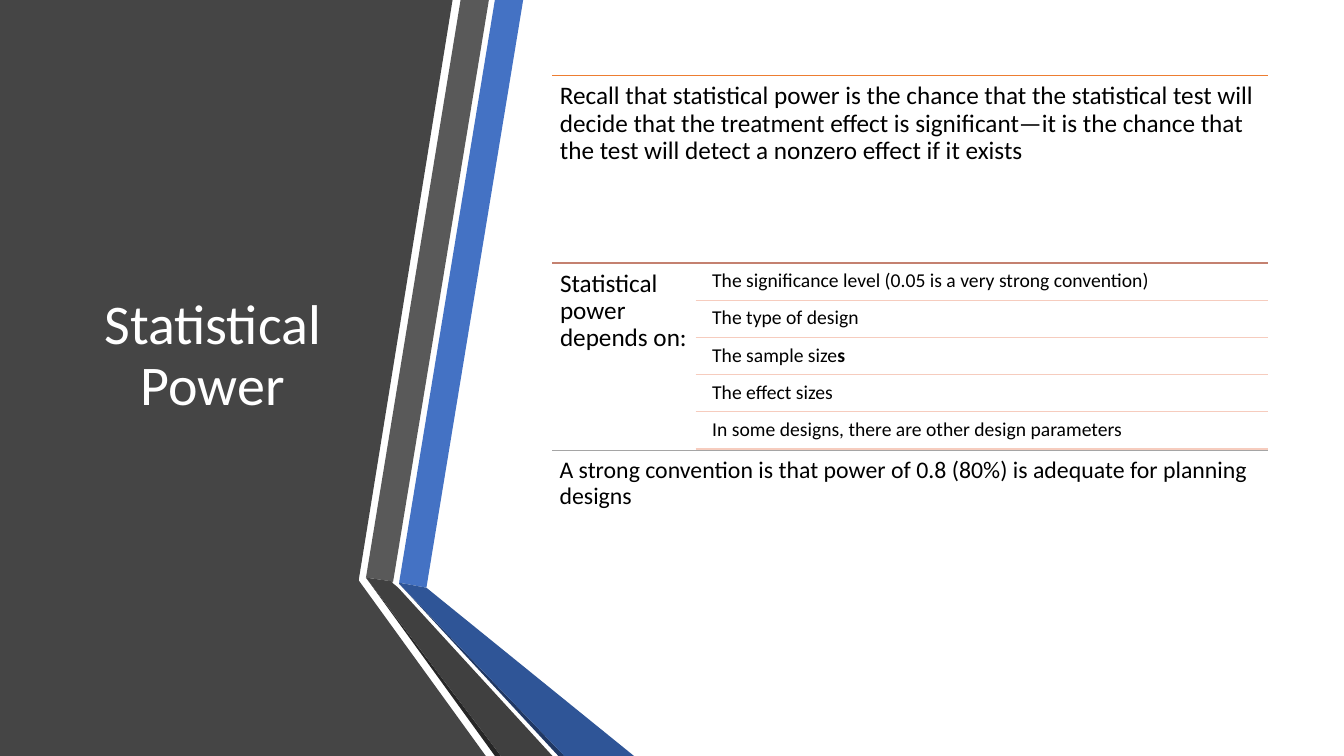
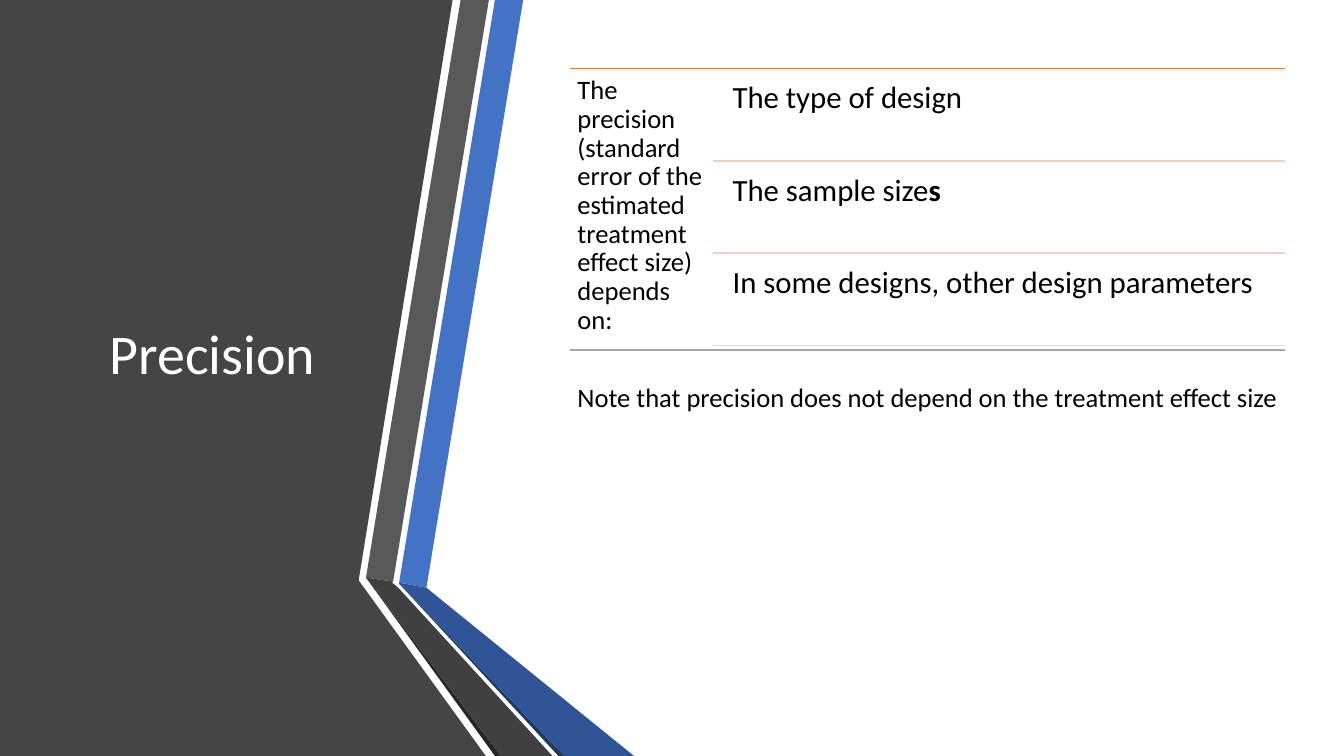
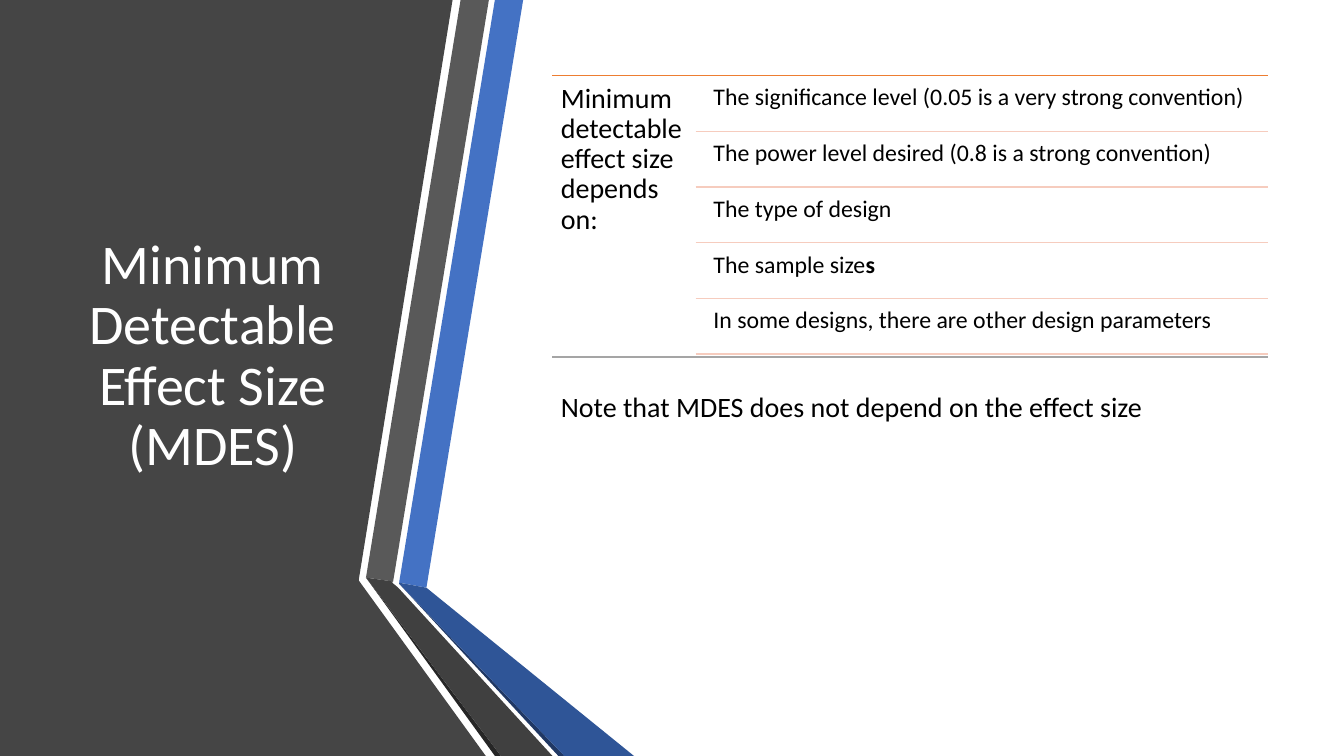
from dataclasses import dataclass

from lxml.etree import SubElement
from pptx import Presentation
from pptx.dml.color import RGBColor
from pptx.enum.shapes import MSO_CONNECTOR
from pptx.enum.text import MSO_ANCHOR, MSO_AUTO_SIZE, PP_ALIGN
from pptx.oxml.ns import qn
from pptx.util import Pt


@dataclass(frozen=True)
class Theme:
    font: str = "Calibri"
    title_size: float = 40
    line_spacing: float = 0.9
    inset_ratio: float = 0.3
    blank_line_ratio: float = 1.52
    rule_width: float = 1
    title_text: str = "FFFFFF"
    body_text: str = "000000"
    side_panel: str = "454545"
    blue_band: str = "4472C4"
    blue_fold: str = "2F5597"
    blue_edge: str = "203864"
    gray_band: str = "595959"
    gray_fold: str = "404040"
    gray_edge: str = "262626"
    first_rule: str = "ED7D31"
    middle_rule: str = "C48170"
    last_rule: str = "A5A5A5"
    item_rule: str = "F6CCBE"


@dataclass(frozen=True)
class Box:
    left: float
    top: float
    width: float
    height: float


@dataclass(frozen=True)
class Item:
    text: str
    bold_tail: str = ""


@dataclass(frozen=True)
class Section:
    text: str
    size: float
    rule: str
    items: tuple = ()
    item_size: float = 0
    text_width: float = 511.2
    skips_line: bool = False


THEME = Theme()
SLIDE_WIDTH, SLIDE_HEIGHT = 960, 540
TITLE_BOX = Box(42.5, 54, 218.9, 401.8)
LABEL_SHARE = 0.2
ITEM_INDENT = 7.7
ITEM_GAP = 0.05

BANDS = (
    (THEME.side_panel, ((0, 0), (323.3, 0), (256.3, 414), (256.3, 414.7),
                        (347, 540), (0, 540))),
    (THEME.blue_band, ((285.1, 416.2), (304.6, 419.8), (373.7, 0), (353.5, 0))),
    (THEME.gray_band, ((349.2, 0), (329, 0), (261.4, 412.6), (280.8, 415.4))),
    (THEME.gray_edge, ((261.4, 412.6), (353.5, 540), (357.8, 540))),
    (THEME.blue_edge, ((285.1, 416.9), (398.9, 540), (403.2, 540))),
    (THEME.blue_fold, ((285.1, 416.2), (285.1, 416.9), (403.2, 540),
                       (452.9, 540), (304.6, 419.8))),
    (THEME.gray_fold, ((394.6, 540), (284.4, 419.8), (280.1, 416.2),
                       (280.8, 415.4), (261.4, 412.6), (357.8, 540))),
)

SAMPLE_SIZES = Item("The sample size", "s")
DESIGN_TYPE = Item("The type of design")
SIGNIFICANCE = Item("The significance level (0.05 is a very strong convention)")
OTHER_PARAMETERS = Item("In some designs, there are other design parameters")

SLIDES = (
    ("Statistical Power", Box(394.6, 54, 511.2, 401.8), (
        Section("Recall that statistical power is the chance that the statistical "
                "test will decide that the treatment effect is significant—it is "
                "the chance that the test will detect a nonzero effect if it exists",
                18, THEME.first_rule, text_width=507),
        Section("Statistical power depends on:", 18, THEME.middle_rule,
                (SIGNIFICANCE, DESIGN_TYPE, SAMPLE_SIZES,
                 Item("The effect sizes"), OTHER_PARAMETERS), 14),
        Section("A strong convention is that power of 0.8 (80%) is adequate for "
                "planning designs", 17, THEME.last_rule),
    )),
    ("Precision", Box(406.8, 49, 511.2, 401.8), (
        Section("The precision (standard error of the estimated treatment effect "
                "size) depends on:", 19, THEME.first_rule,
                (DESIGN_TYPE, SAMPLE_SIZES,
                 Item("In some designs, other design parameters")), 22),
        Section("Note that precision does not depend on the treatment effect size",
                19, THEME.last_rule, skips_line=True),
    )),
    ("Minimum Detectable Effect Size (MDES)", Box(394.6, 54, 511.2, 401.8), (
        Section("Minimum detectable effect size depends on:", 20, THEME.first_rule,
                (SIGNIFICANCE,
                 Item("The power level desired (0.8 is a strong convention)"),
                 DESIGN_TYPE, SAMPLE_SIZES, OTHER_PARAMETERS), 17),
        Section("Note that MDES does not depend on the effect size", 20,
                THEME.last_rule, text_width=479, skips_line=True),
    )),
)


def color(value):
    return RGBColor.from_string(value)


def place(shape, box):
    shape.left, shape.top = Pt(box.left), Pt(box.top)
    shape.width, shape.height = Pt(box.width), Pt(box.height)


def format_paragraph(paragraph, size, text_color):
    paragraph.line_spacing = THEME.line_spacing
    paragraph.font.name = THEME.font
    paragraph.font.size = Pt(size)
    paragraph.font.color.rgb = color(text_color)


def add_bands(slide):
    for fill, corners in BANDS:
        points = [(Pt(x), Pt(y)) for x, y in corners]
        builder = slide.shapes.build_freeform(*points[0])
        builder.add_line_segments(points[1:], close=True)
        band = builder.convert_to_shape()
        band.shadow.inherit = False
        band.fill.solid()
        band.fill.fore_color.rgb = color(fill)
        band.line.fill.background()


def add_title(slide, text, box):
    title = slide.shapes.title
    title.element.getparent().append(title.element)
    place(title, box)
    frame = title.text_frame
    frame.text = text
    frame.word_wrap = True
    frame.auto_size = MSO_AUTO_SIZE.NONE
    frame.vertical_anchor = MSO_ANCHOR.MIDDLE
    paragraph = frame.paragraphs[0]
    paragraph.alignment = PP_ALIGN.CENTER
    format_paragraph(paragraph, THEME.title_size, THEME.title_text)


def add_rule(slide, left, right, y, rule_color):
    rule = slide.shapes.add_connector(
        MSO_CONNECTOR.STRAIGHT, Pt(left), Pt(y), Pt(right), Pt(y))
    rule.line.color.rgb = color(rule_color)
    rule.line.width = Pt(THEME.rule_width)
    SubElement(rule.element.spPr, qn("a:effectLst"))


def add_text(slide, box, item, size, skips_line=False):
    shape = slide.shapes.add_textbox(0, 0, 0, 0)
    place(shape, box)
    frame = shape.text_frame
    frame.word_wrap = True
    inset = THEME.inset_ratio * size
    frame.margin_left = frame.margin_right = frame.margin_bottom = Pt(inset)
    blank_line = THEME.blank_line_ratio * size if skips_line else 0
    frame.margin_top = Pt(inset + blank_line)
    paragraph = frame.paragraphs[0]
    format_paragraph(paragraph, size, THEME.body_text)
    paragraph.add_run().text = item.text
    if item.bold_tail:
        tail = paragraph.add_run()
        tail.text = item.bold_tail
        tail.font.bold = True


def add_items(slide, box, items, size):
    count = len(items)
    height = box.height / (count + (count + 1) * ITEM_GAP)
    gap = height * ITEM_GAP
    right = box.left + box.width
    for index, item in enumerate(items):
        top = box.top + gap + index * (height + gap)
        item_box = Box(box.left + ITEM_INDENT, top, box.width - ITEM_INDENT, height)
        add_text(slide, item_box, item, size)
        add_rule(slide, box.left, right, top + height, THEME.item_rule)


def add_section(slide, box, section):
    add_rule(slide, box.left, box.left + box.width, box.top, section.rule)
    label_width = box.width * LABEL_SHARE
    text_width = label_width if section.items else section.text_width
    add_text(slide, Box(box.left, box.top, text_width, box.height),
             Item(section.text), section.size, section.skips_line)
    if section.items:
        items_box = Box(box.left + label_width, box.top,
                        box.width - label_width, box.height)
        add_items(slide, items_box, section.items, section.item_size)


def add_sections(slide, box, sections):
    height = box.height / len(sections)
    for index, section in enumerate(sections):
        section_box = Box(box.left, box.top + index * height, box.width, height)
        add_section(slide, section_box, section)


def main():
    presentation = Presentation()
    presentation.slide_width = Pt(SLIDE_WIDTH)
    presentation.slide_height = Pt(SLIDE_HEIGHT)
    title_only = presentation.slide_layouts.get_by_name("Title Only")
    for title, box, sections in SLIDES:
        slide = presentation.slides.add_slide(title_only)
        add_bands(slide)
        add_title(slide, title, TITLE_BOX)
        add_sections(slide, box, sections)
    presentation.save("out.pptx")


if __name__ == "__main__":
    main()
